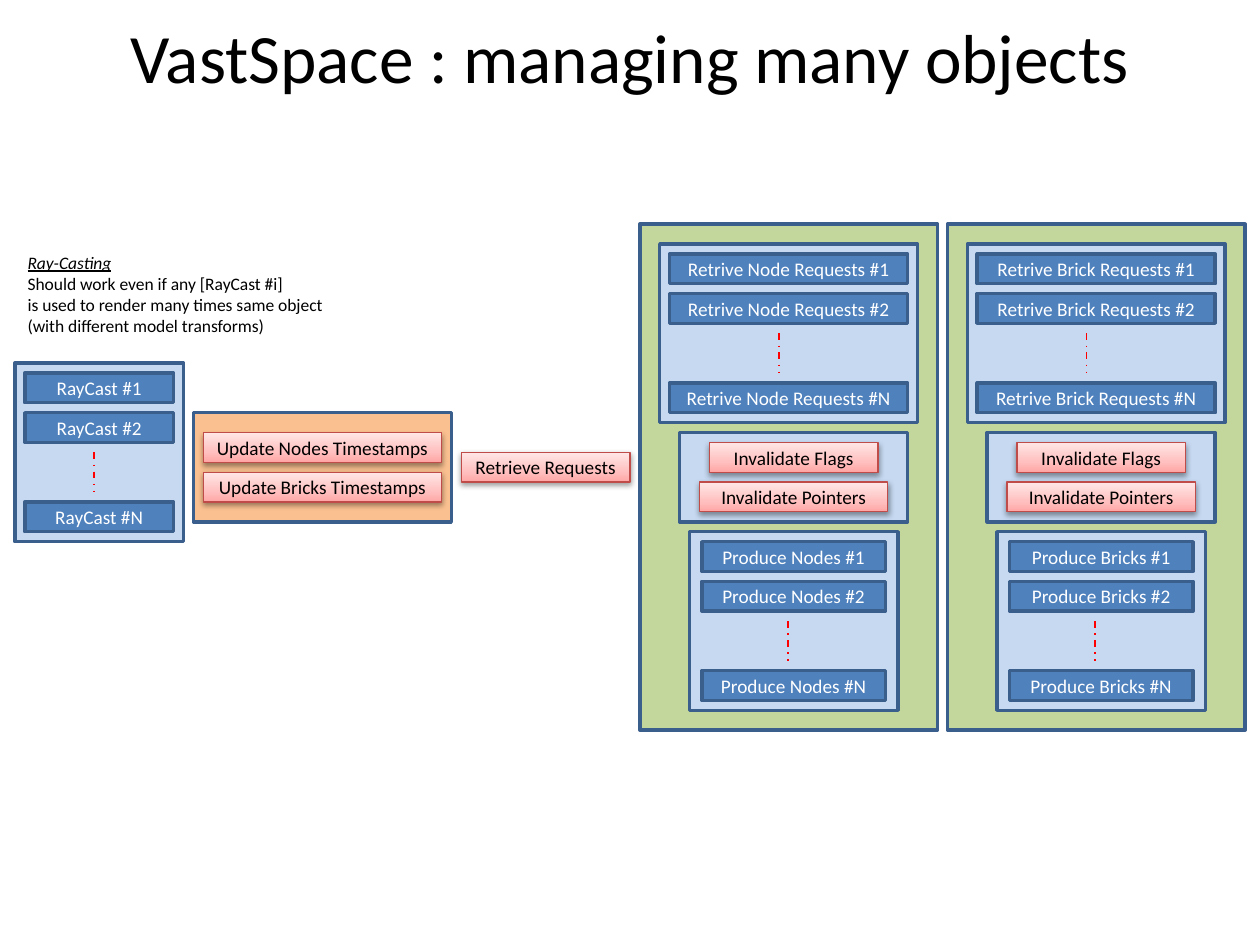
from copy import deepcopy

from lxml import etree
from pptx import Presentation
from pptx import util as u
from pptx.dml.color import RGBColor
from pptx.enum import dml, shapes, text
from pptx.oxml.ns import qn

BLACK = RGBColor(0x00, 0x00, 0x00)
WHITE = RGBColor(0xFF, 0xFF, 0xFF)
RED = RGBColor(0xFF, 0x00, 0x00)
NAVY = RGBColor(0x3A, 0x5F, 0x8C)
BLUE = RGBColor(0x4F, 0x81, 0xBD)
PALE_BLUE = RGBColor(0xC6, 0xD9, 0xF1)
GREEN = RGBColor(0xC3, 0xD6, 0x9B)
ORANGE = RGBColor(0xFA, 0xC0, 0x90)
BRICK = RGBColor(0xBF, 0x4C, 0x48)
PINKS = (
    (0, RGBColor(0xFF, 0xA6, 0xA5)),
    (0.35, RGBColor(0xFF, 0xC0, 0xBF)),
    (1, RGBColor(0xFF, 0xE7, 0xE7)),
)

CELL = u.Mm(2)
LEFT, TOP = 1.5, 22.6
BAR = 3


def apply(target, values):
    for name, value in values.items():
        setattr(target, name, value)


class Board:
    font = "Calibri"
    frame = dict(margin_left=0, margin_right=0, margin_top=0, margin_bottom=0,
                 word_wrap=True, vertical_anchor=text.MSO_ANCHOR.MIDDLE)

    def __init__(self, slide):
        self.slide = slide
        self.stage = slide.shapes

    def open_stage(self):
        self.stage = self.slide.shapes.add_group_shape().shapes

    def close_stage(self):
        self.stage = self.slide.shapes

    def place(self, col, row):
        return round((LEFT + col) * CELL), round((TOP + row) * CELL)

    def add_words(self, paragraph, words, size, color, **extra):
        run = paragraph.add_run()
        run.text = words
        apply(run.font, dict(name=self.font, size=u.Pt(size), **extra))
        run.font.color.rgb = color

    def title(self, words):
        heading = self.slide.shapes.title
        apply(heading, dict(left=u.Inches(0.75), top=u.Inches(0.05),
                            width=u.Inches(8.5), height=u.Inches(0.79)))
        apply(heading.text_frame, self.frame)
        heading.text_frame.paragraphs[0].alignment = text.PP_ALIGN.CENTER
        self.add_words(heading.text_frame.paragraphs[0], words, 39.6, BLACK)

    def box(self, col, row, cols, rows, edge=NAVY, weight=2):
        rect = self.stage.add_shape(shapes.MSO_SHAPE.RECTANGLE, *self.place(col, row),
                                    round(cols * CELL), round(rows * CELL))
        rect.shadow.inherit = False
        rect.line.color.rgb = edge
        rect.line.width = u.Pt(weight)
        return rect

    def panel(self, col, row, cols, rows, color=PALE_BLUE):
        rect = self.box(col, row, cols, rows)
        rect.fill.solid()
        rect.fill.fore_color.rgb = color

    def label(self, rect, words, color):
        apply(rect.text_frame, self.frame)
        rect.text_frame.paragraphs[0].alignment = text.PP_ALIGN.CENTER
        self.add_words(rect.text_frame.paragraphs[0], words, 11, color)

    def step(self, col, row, cols, words):
        rect = self.box(col, row, cols, BAR)
        rect.fill.solid()
        rect.fill.fore_color.rgb = BLUE
        self.label(rect, words, WHITE)

    def action(self, col, row, cols, words):
        rect = self.box(col, row, cols, BAR, BRICK, 0.75)
        rect.fill.gradient()
        rect.fill.gradient_angle = 90
        stops = rect._element.spPr.find(qn("a:gradFill")).find(qn("a:gsLst"))
        stops.append(deepcopy(stops[0]))
        for stop, (position, color) in zip(rect.fill.gradient_stops, PINKS):
            stop.position = position
            stop.color.rgb = color
        effects = rect._element.spPr.find(qn("a:effectLst"))
        shadow = etree.SubElement(effects, qn("a:outerShdw"), blurRad="40000",
                                  dist="20000", dir="5400000", rotWithShape="0")
        tint = etree.SubElement(shadow, qn("a:srgbClr"), val="000000")
        etree.SubElement(tint, qn("a:alpha"), val="38000")
        self.label(rect, words, BLACK)

    def ellipsis(self, col, row, rows):
        line = self.stage.add_connector(shapes.MSO_CONNECTOR.STRAIGHT,
                                        *self.place(col, row), *self.place(col, row + rows))
        line.line.color.rgb = RED
        apply(line.line, dict(width=u.Pt(1), dash_style=dml.MSO_LINE.DASH_DOT))
        etree.SubElement(line._element.spPr, qn("a:effectLst"))

    def series(self, col, row, cols, inset, words, dots):
        self.panel(col, row, cols, 18)
        for offset, number in ((1, "1"), (5, "2"), (14, "N")):
            self.step(col + inset, row + offset, cols - 2 * inset, f"{words} #{number}")
        self.ellipsis(col + dots, row + 9, 4)

    def note(self, left, top, width, height, heading, lines):
        area = self.slide.shapes.add_textbox(*map(u.Inches, (left, top, width, height)))
        area.text_frame.word_wrap = True
        area.text_frame.auto_size = text.MSO_AUTO_SIZE.SHAPE_TO_FIT_TEXT
        self.add_words(area.text_frame.paragraphs[0], heading, 10, BLACK,
                       italic=True, underline=True)
        for words in lines:
            self.add_words(area.text_frame.add_paragraph(), words, 10, BLACK)


def main():
    deck = Presentation()
    deck.slide_width, deck.slide_height = u.Inches(10), u.Inches(7.5)
    slide = deck.slides.add_slide(deck.slide_layouts[0])
    subtitle = slide.placeholders[1]._element
    subtitle.getparent().remove(subtitle)

    board = Board(slide)
    board.title("VastSpace : managing many objects")

    board.open_stage()
    board.series(0, 14, 17, 1, "RayCast", 8)

    board.close_stage()
    board.action(45, 23, 17, "Retrieve Requests")

    for col, item in ((63, "Node"), (94, "Brick")):
        board.open_stage()
        board.panel(col, 0, 30, 51, GREEN)
        board.series(col + 2, 2, 26, 1, f"Retrive {item} Requests", 12)
        board.panel(col + 4, 21, 23, 9)
        board.action(col + 7, 22, 17, "Invalidate Flags")
        board.action(col + 6, 26, 19, "Invalidate Pointers")
        board.series(col + 5, 31, 21, 1.25, f"Produce {item}s", 9.9)

    board.open_stage()
    board.panel(18, 19, 26, 11, ORANGE)
    for row, item in ((21, "Nodes"), (25, "Bricks")):
        board.action(19, row, 24, f"Update {item} Timestamps")

    board.note(0.12, 1.95, 2.68, 0.77, "Ray-Casting", (
        "Should work even if any [RayCast #i]",
        "is used to render many times same object",
        "(with different model transforms)",
    ))
    deck.save("out.pptx")


if __name__ == "__main__":
    main()
